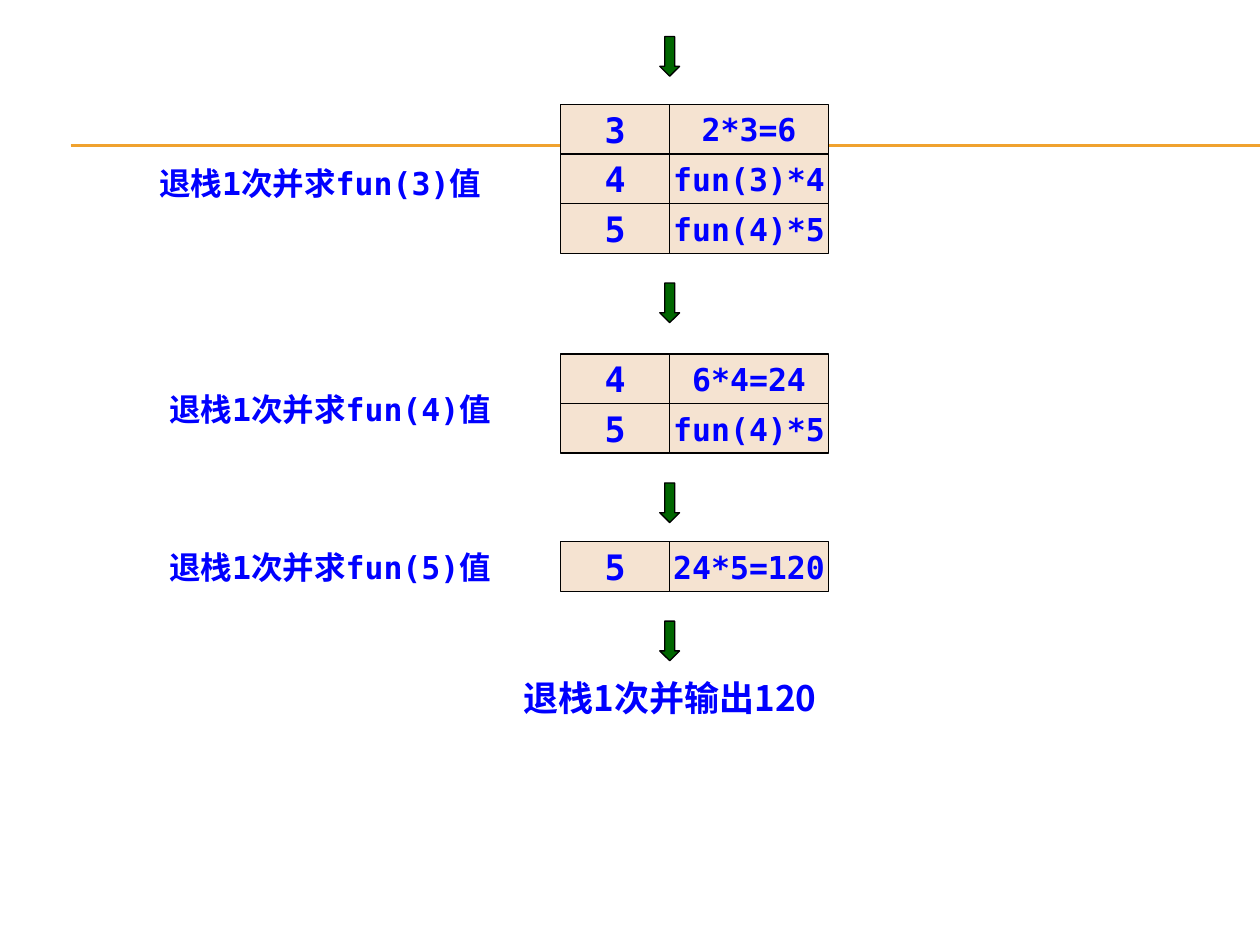
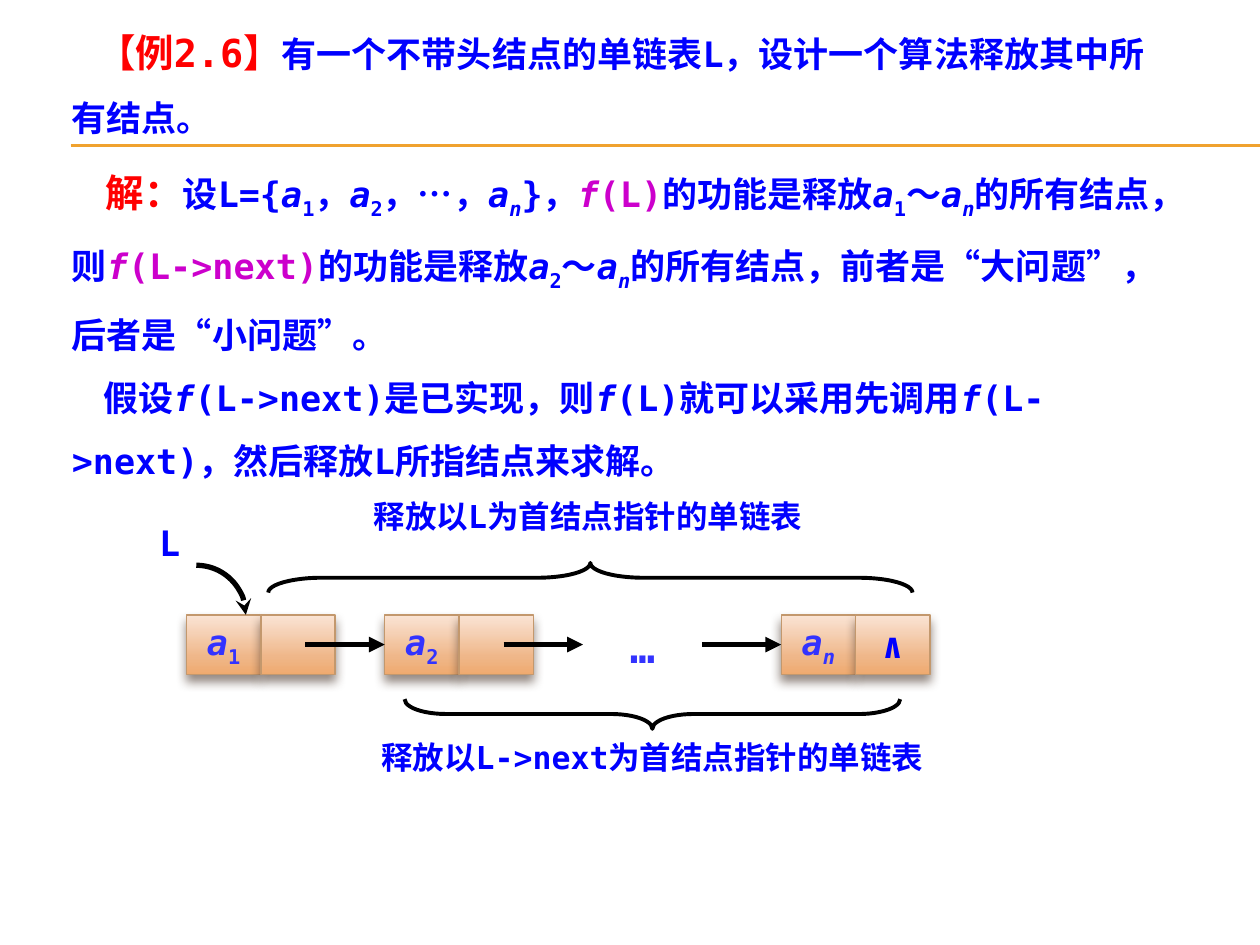
from dataclasses import dataclass, replace

from lxml.etree import SubElement
from pptx import Presentation
from pptx.dml.color import RGBColor
from pptx.enum.lang import MSO_LANGUAGE_ID as Lang
from pptx.enum.shapes import MSO_CONNECTOR as Connector, MSO_SHAPE as Preset
from pptx.enum.text import MSO_ANCHOR as Anchor, MSO_AUTO_SIZE as AutoSize, PP_ALIGN as Align
from pptx.oxml import parse_xml
from pptx.oxml.ns import nsdecls, qn
from pptx.util import Inches, Pt


@dataclass(frozen=True)
class Theme:
    mono: str = "DejaVu Sans Mono"
    cjk: str = "Noto Sans CJK SC"
    blue: str = "0000FF"
    node_blue: str = "3333FF"
    red: str = "FF0000"
    magenta: str = "CC00CC"
    black: str = "000000"
    rule: str = "F0A22E"
    frame: str = "F5E3D1"
    arrow: str = "006600"
    node_edge: str = "C3986D"
    node_shadow: str = "4E3B30"
    node_stops: tuple = ((0, "FAE4D5"), (72, "EFB688"), (100, "EFAA6F"))
    small: int = 18
    normal: int = 20
    lead: int = 22
    big: int = 24
    thin: float = 0.75
    brace: float = 2.25
    thick: float = 3


THEME = Theme()


@dataclass(frozen=True)
class Ink:
    """Character style of one run."""
    size: int = THEME.normal
    color: str = THEME.blue
    font: str = THEME.mono
    italic: bool = False
    subscript: bool = False


PLAIN = Ink()
ITALIC = replace(PLAIN, italic=True)
SMALL = replace(PLAIN, size=THEME.small)
LEAD = replace(PLAIN, size=THEME.lead, color=THEME.red)
CALL = replace(PLAIN, color=THEME.magenta)
NODE = replace(PLAIN, color=THEME.node_blue)


@dataclass(frozen=True)
class Grid:
    """Square grid whose origin is given in inches."""
    left: float
    top: float
    unit: float = 0.59 / 3

    def at(self, col, row, cols, rows):
        return (Inches(self.left + col * self.unit), Inches(self.top + row * self.unit),
                Inches(cols * self.unit), Inches(rows * self.unit))


def rgb(color):
    return RGBColor.from_string(color)


def write(paragraph, runs, align=Align.LEFT):
    paragraph.alignment = align
    for text, ink in runs:
        run = paragraph.add_run()
        run.text = text
        font = run.font
        font.size, font.bold, font.italic = Pt(ink.size), True, ink.italic
        font.name, font.language_id = ink.font, Lang.SIMPLIFIED_CHINESE
        font.color.rgb = rgb(ink.color)
        props = run._r.get_or_add_rPr()
        SubElement(props, qn("a:ea"), typeface=THEME.cjk)
        if ink.subscript:
            props.set("baseline", "-25000")


def add_label(slide, place, text, ink=SMALL, align=Align.LEFT):
    frame = slide.shapes.add_textbox(*place).text_frame
    frame.word_wrap = True
    write(frame.paragraphs[0], [(text, ink)], align)


def add_preset(slide, kind, place, line, width, fill=None):
    shape = slide.shapes.add_shape(kind, *place)
    shape.shadow.inherit = False
    if fill:
        shape.fill.solid()
        shape.fill.fore_color.rgb = rgb(fill)
    else:
        shape.fill.background()
    shape.line.color.rgb = rgb(line)
    shape.line.width = Pt(width)
    return shape


def center_text(shape, runs):
    frame = shape.text_frame
    frame.word_wrap = False
    frame.vertical_anchor = Anchor.MIDDLE
    write(frame.paragraphs[0], runs, Align.CENTER)


def add_line(slide, start, end, color, width):
    line = slide.shapes.add_connector(Connector.STRAIGHT, *start, *end)
    line.line.color.rgb = rgb(color)
    line.line.width = Pt(width)
    SubElement(line._element.spPr, qn("a:effectLst"))
    return line


def add_head(shape, kind):
    SubElement(shape.line._get_or_add_ln(), qn("a:tailEnd"), type=kind)


def add_rules(slide):
    for height in (1.15, 1.16):
        add_line(slide, (Inches(0.56), Inches(height)), (Inches(10), Inches(height)),
                 THEME.rule, THEME.thin)


# Stack slide

INDEX_COLS, VALUE_COLS, FRAME_ROWS = 4.4, 6.4, 2


def add_down_arrow(slide, grid, row):
    arrow = add_preset(slide, Preset.DOWN_ARROW, grid.at(INDEX_COLS - 0.4, row, 0.8, 1.6),
                       THEME.black, THEME.thin, THEME.arrow)
    arrow.adjustments[0], arrow.adjustments[1] = 0.5, 0.497


def add_stack(slide, grid, frames):
    """Stack frames from the grid's origin down, then the arrow to the next step."""
    for number, (index, value) in enumerate(frames):
        row = number * FRAME_ROWS
        for text, ink, col, cols in ((index, PLAIN, 0, INDEX_COLS),
                                     (value, SMALL, INDEX_COLS, VALUE_COLS)):
            cell = add_preset(slide, Preset.RECTANGLE, grid.at(col, row, cols, FRAME_ROWS),
                              THEME.black, THEME.thin, THEME.frame)
            center_text(cell, [(text, ink)])
    add_down_arrow(slide, grid, len(frames) * FRAME_ROWS + 1.2)


def build_stack_slide(deck):
    slide = deck.slides.add_slide(deck.slide_layouts[6])
    add_rules(slide)
    stack_left = 4.45
    steps = (
        (0.83, "退栈1次并求fun(3)值", (-16.7, 2.15),
         (("3", "2*3=6"), ("4", "fun(3)*4"), ("5", "fun(4)*5"))),
        (2.81, "退栈1次并求fun(4)值", (-16.3, 1.2), (("4", "6*4=24"), ("5", "fun(4)*5"))),
        (4.3, "退栈1次并求fun(5)值", (-16.3, 0), (("5", "24*5=120"),)),
    )
    add_down_arrow(slide, Grid(stack_left, 0.29), 0)
    for top, caption, (col, row), frames in steps:
        grid = Grid(stack_left, top)
        add_stack(slide, grid, frames)
        add_label(slide, grid.at(col, row, 16.4, 2), caption)
    add_label(slide, Grid(stack_left, 5.32).at(-2, 0, 14.4, 2.2), "退栈1次并输出120",
              replace(PLAIN, font=THEME.cjk))


# Linked list slide

def term(index):
    """The symbol a with its index; a letter index is slanted too."""
    return [("a", ITALIC), (index, replace(PLAIN, subscript=True, italic=index.isalpha()))]


def call(argument, ink=PLAIN):
    return [("f", replace(ink, italic=True)), (f"({argument})", ink)]


def fill_placeholder(holder, place, paragraphs):
    """Move a placeholder and fill it with (first line indent, runs) paragraphs."""
    holder.left, holder.top, holder.width, holder.height = map(Inches, place)
    frame = holder.text_frame
    frame.word_wrap, frame.auto_size = True, AutoSize.NONE
    frame.vertical_anchor = Anchor.TOP
    for number, (indent, runs) in enumerate(paragraphs):
        paragraph = frame.add_paragraph() if number else frame.paragraphs[0]
        props = paragraph._p.get_or_add_pPr()
        props.set("marL", "0")
        props.set("indent", str(Inches(indent)))
        SubElement(props, qn("a:buNone"))
        paragraph.line_spacing = 1.5
        paragraph.space_before = Pt(0)
        write(paragraph, runs)


def add_problem(slide):
    title, solution = slide.placeholders
    fill_placeholder(title, (0.47, 0, 8.98, 1.1), [
        (0.2, [("【例2.6】", LEAD),
               ("有一个不带头结点的单链表L，设计一个算法释放其中所有结点。", PLAIN)])])
    fill_placeholder(solution, (0.47, 1.09, 9.06, 2.68), [
        (0.27, [("解：", replace(LEAD, font=THEME.cjk)), ("设L={", PLAIN),
                *term("1"), ("，", PLAIN), *term("2"), ("，…，", PLAIN), *term("n"),
                ("}，", PLAIN), *call("L", CALL), ("的功能是释放", PLAIN),
                *term("1"), ("～", PLAIN), *term("n"), ("的所有结点，则", PLAIN),
                *call("L->next", CALL), ("的功能是释放", PLAIN),
                *term("2"), ("～", PLAIN), *term("n"),
                ("的所有结点，前者是“大问题”，后者是“小问题”。", PLAIN)]),
        (0.25, [("假设", PLAIN), *call("L->next"), ("是已实现，则", PLAIN), *call("L"),
                ("就可以采用先调用", PLAIN), *call("L->next"),
                ("，然后释放L所指结点来求解。", PLAIN)])])


def add_node_cell(slide, place, runs):
    cell = slide.shapes.add_shape(Preset.RECTANGLE, *place)
    cell.shadow.inherit = False
    props = cell._element.spPr
    stops = "".join(f'<a:gs pos="{share * 1000}"><a:srgbClr val="{color}"/></a:gs>'
                    for share, color in THEME.node_stops)
    props.insert(2, parse_xml(f'<a:gradFill {nsdecls("a")} rotWithShape="1"><a:gsLst>{stops}'
                              '</a:gsLst><a:lin ang="5400000" scaled="0"/></a:gradFill>'))
    cell.line.color.rgb = rgb(THEME.node_edge)
    cell.line.width = Pt(0.79)
    props.find(qn("a:effectLst")).append(parse_xml(
        f'<a:outerShdw {nsdecls("a")} blurRad="{Pt(6)}" dist="{Pt(4)}" dir="5400000" '
        f'rotWithShape="0"><a:srgbClr val="{THEME.node_shadow}"><a:alpha val="60000"/>'
        '</a:srgbClr></a:outerShdw>'))
    if runs:
        center_text(cell, runs)


def add_brace(slide, place, rotation, bend):
    """Right brace turned to span the given place."""
    left, top, width, height = place
    shift = (width - height) // 2
    brace = add_preset(slide, Preset.RIGHT_BRACE, (left + shift, top - shift, height, width),
                       THEME.black, THEME.brace)
    brace.rotation = rotation
    brace.adjustments[0], brace.adjustments[1] = bend, 0.5


def add_linked_list(slide, grid):
    cell_cols, cell_rows, pitch = 3, 2.4, 8
    node_term = lambda index: [(text, replace(ink, color=THEME.node_blue))
                               for text, ink in term(index)]
    nodes = ((0, node_term("1"), []), (1, node_term("2"), []),
             (3, node_term("n"), [("∧", PLAIN)]))
    for position, *cells in nodes:
        for number, runs in enumerate(cells):
            col = position * pitch + number * cell_cols
            add_node_cell(slide, grid.at(col, 0, cell_cols, cell_rows), runs)
    add_label(slide, grid.at(16.8, 0, 3.2, 2.5), "…", replace(NODE, size=THEME.big), Align.CENTER)

    head = add_preset(slide, Preset.ARC, grid.at(-1.6, -2, 4, 4), THEME.black, THEME.thick)
    add_head(head, "stealth")
    add_label(slide, grid.at(-1.6, -4, 2.4, 2.2), "L", PLAIN)
    for position in range(3):
        left, middle, reach, _ = grid.at(position * pitch + 4.8, cell_rows / 2, 3.2, 0)
        link = add_line(slide, (left, middle), (left + reach, middle), THEME.black, THEME.thick)
        add_head(link, "triangle")

    add_label(slide, grid.at(5.4, -5, 21.6, 2), "释放以L为首结点指针的单链表", align=Align.CENTER)
    add_brace(slide, grid.at(3.3, -2.1, 26, 1.2), 270, 1.806)
    add_brace(slide, grid.at(8.8, 3.4, 20, 1.2), 90, 1.389)
    add_label(slide, grid.at(5, 4.7, 27.6, 2), "释放以L->next为首结点指针的单链表",
              align=Align.CENTER)


def build_list_slide(deck):
    slide = deck.slides.add_slide(deck.slide_layouts[1])
    add_rules(slide)
    add_problem(slide)
    add_linked_list(slide, Grid(1.48, 4.88))


def main():
    deck = Presentation()
    deck.slide_width, deck.slide_height = Inches(10), Inches(7.5)
    build_stack_slide(deck)
    build_list_slide(deck)
    deck.save("out.pptx")


if __name__ == "__main__":
    main()
